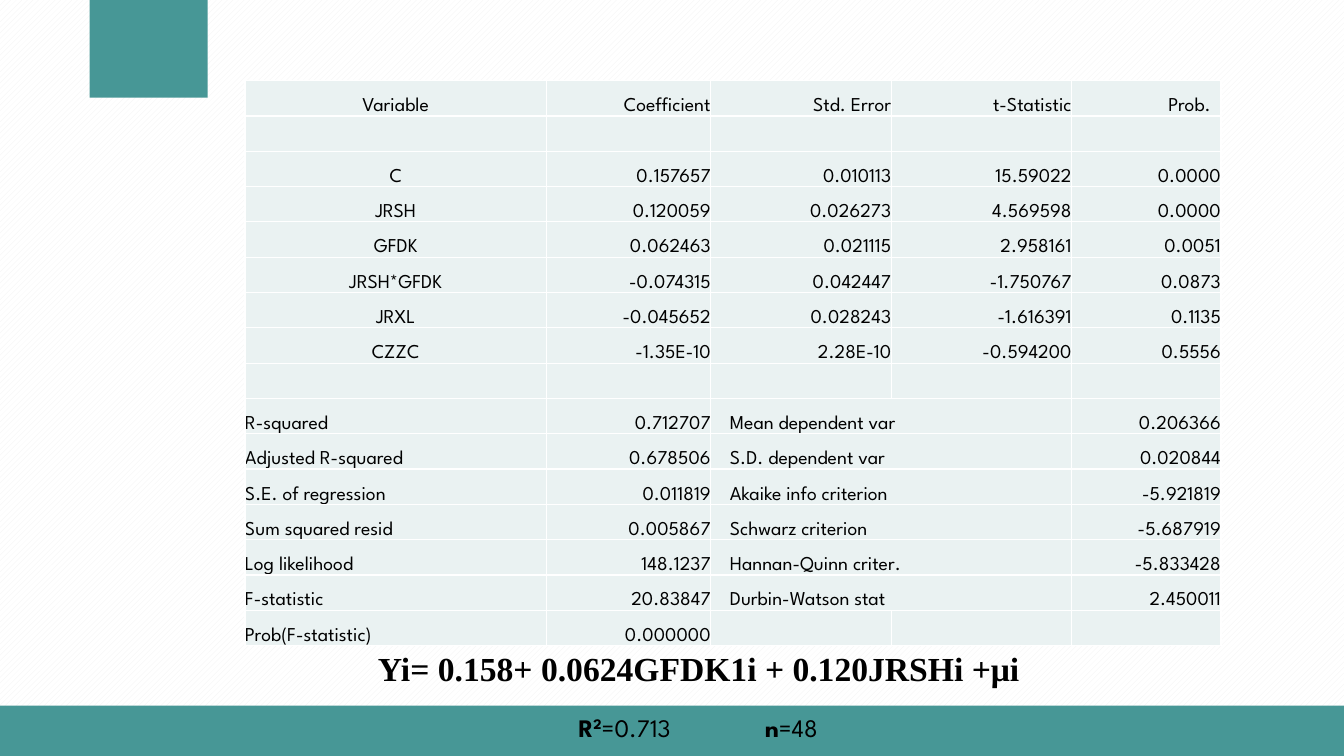
import pptx
import pptx.util
import pptx.dml.color
import pptx.enum.dml
import pptx.enum.shapes
import pptx.enum.text
import pptx.oxml
import pptx.oxml.ns

Inches, Pt = pptx.util.Inches, pptx.util.Pt
RGB = pptx.dml.color.RGBColor.from_string
ALIGN = pptx.enum.text.PP_ALIGN
NS = pptx.oxml.ns.nsdecls("a")

THEME = {
    "teal": "479796", "cell": "EAF2F2", "rule": "FFFFFF", "ink": "000000",
    "hatch": "F2F2F2", "paper": "FFFFFF",
    "body": "League Spartan", "formula": "Times New Roman",
    "table_pt": 14, "formula_pt": 24, "fit_pt": 18, "rule_pt": 1,
}


def add_run(paragraph, text, size, font, bold=False):
    run = paragraph.add_run()
    run.text = text
    run.font.size = Pt(THEME[size])
    run.font.name = THEME[font]
    run.font.bold = bold
    run.font.color.rgb = RGB(THEME["ink"])
    return run


deck = pptx.Presentation()
deck.slide_width, deck.slide_height = Inches(13.33), Inches(7.5)
slide = deck.slides.add_slide(deck.slide_layouts[6])

# Hatched background
backdrop = slide.background.fill
backdrop.patterned()
backdrop.pattern = pptx.enum.dml.MSO_PATTERN.WIDE_UPWARD_DIAGONAL
backdrop.fore_color.rgb = RGB(THEME["hatch"])
backdrop.back_color.rgb = RGB(THEME["paper"])

# Teal corner block and footer band
for left, top, width, height in [(0.89, 0, 1.17, 0.97), (0, 7, 13.33, 0.5)]:
    accent = slide.shapes.add_shape(
        pptx.enum.shapes.MSO_SHAPE.RECTANGLE,
        Inches(left), Inches(top), Inches(width), Inches(height))
    accent.shadow.inherit = False
    accent.fill.solid()
    accent.fill.fore_color.rgb = RGB(THEME["teal"])
    accent.line.fill.background()

# Fitted equation, then goodness of fit and sample size on tab stops
equation_box = slide.shapes.add_textbox(Inches(2.43), Inches(6.18), Inches(9), Inches(1.19))
equation_frame = equation_box.text_frame
equation_frame.word_wrap = True
equation = equation_frame.paragraphs[0]
equation.alignment = ALIGN.CENTER
equation.line_spacing = 1.5
add_run(equation, "Yi= 0.158+ 0.0624GFDK1i + 0.120JRSHi +μi", "formula_pt", "formula", True)

fit = equation_frame.add_paragraph()
tab_stops = "".join(f'<a:tab pos="{Inches(stop)}" algn="l"/>' for stop in (3.21, 5.06))
fit._p.get_or_add_pPr().append(pptx.oxml.parse_xml(f"<a:tabLst {NS}>{tab_stops}</a:tabLst>"))
fit.alignment = ALIGN.LEFT
fit.line_spacing = 1.5
fit.space_before = Pt(6)
for text, bold, baseline in [("\tR", True, 0), ("2", True, 30000), ("=0.713", False, 0),
                             ("\tn", True, 0), ("=48", False, 0)]:
    piece = add_run(fit, text, "fit_pt", "body", bold)
    if baseline:
        piece._r.get_or_add_rPr().set("baseline", str(baseline))

# Regression output: coefficients above, summary statistics below
coefficients = [
    ("Variable", "Coefficient", "Std. Error", "t-Statistic", "Prob."),
    ("", "", "", "", ""),
    ("C", "0.157657", "0.010113", "15.59022", "0.0000"),
    ("JRSH", "0.120059", "0.026273", "4.569598", "0.0000"),
    ("GFDK", "0.062463", "0.021115", "2.958161", "0.0051"),
    ("JRSH*GFDK", "-0.074315", "0.042447", "-1.750767", "0.0873"),
    ("JRXL", "-0.045652", "0.028243", "-1.616391", "0.1135"),
    ("CZZC", "-1.35E-10", "2.28E-10", "-0.594200", "0.5556"),
    ("", "", "", "", ""),
]
summary = [
    ("R-squared", "0.712707", "Mean dependent var", "", "0.206366"),
    ("Adjusted R-squared", "0.678506", "S.D. dependent var", "", "0.020844"),
    ("S.E. of regression", "0.011819", "Akaike info criterion", "", "-5.921819"),
    ("Sum squared resid", "0.005867", "Schwarz criterion", "", "-5.687919"),
    ("Log likelihood", "148.1237", "Hannan-Quinn criter.", "", "-5.833428"),
    ("F-statistic", "20.83847", "Durbin-Watson stat", "", "2.450011"),
    ("Prob(F-statistic)", "0.000000", "", "", ""),
]
rows = coefficients + summary
column_widths = [2.99, 1.63, 1.79, 1.79, 1.48]
row_height = 0.35
regression = slide.shapes.add_table(
    len(rows), len(column_widths), Inches(2.43), Inches(0.8),
    Inches(sum(column_widths)), Inches(row_height * len(rows))).table
regression.first_row = regression.horz_banding = False
for column, width in zip(regression.columns, column_widths):
    column.width = Inches(width)

for r, values in enumerate(rows):
    regression.rows[r].height = Inches(row_height)
    in_summary = r >= len(coefficients)
    if in_summary and values[2]:
        regression.cell(r, 2).merge(regression.cell(r, 3))
    for c, value in enumerate(values):
        cell = regression.cell(r, c)
        cell.margin_left = cell.margin_right = cell.margin_top = cell.margin_bottom = 0
        cell.vertical_anchor = pptx.enum.text.MSO_ANCHOR.BOTTOM
        for side in ("lnL", "lnR", "lnT", "lnB"):
            cell._tc.get_or_add_tcPr().append(pptx.oxml.parse_xml(
                f'<a:{side} {NS} w="{Pt(THEME["rule_pt"])}"><a:solidFill>'
                f'<a:srgbClr val="{THEME["rule"]}"/></a:solidFill></a:{side}>'))
        cell.fill.solid()
        cell.fill.fore_color.rgb = RGB(THEME["cell"])
        if not value:
            continue
        entry = cell.text_frame.paragraphs[0]
        entry.line_spacing = 1.5
        if in_summary and c in (0, 2):
            entry.alignment = ALIGN.LEFT
            cell.margin_left = Inches(0.19 if c == 2 else 0)
        else:
            entry.alignment = ALIGN.RIGHT if c else ALIGN.CENTER
        if value == "Prob.":
            cell.margin_right = Inches(0.1)
        add_run(entry, value, "table_pt", "body")

deck.save("out.pptx")
